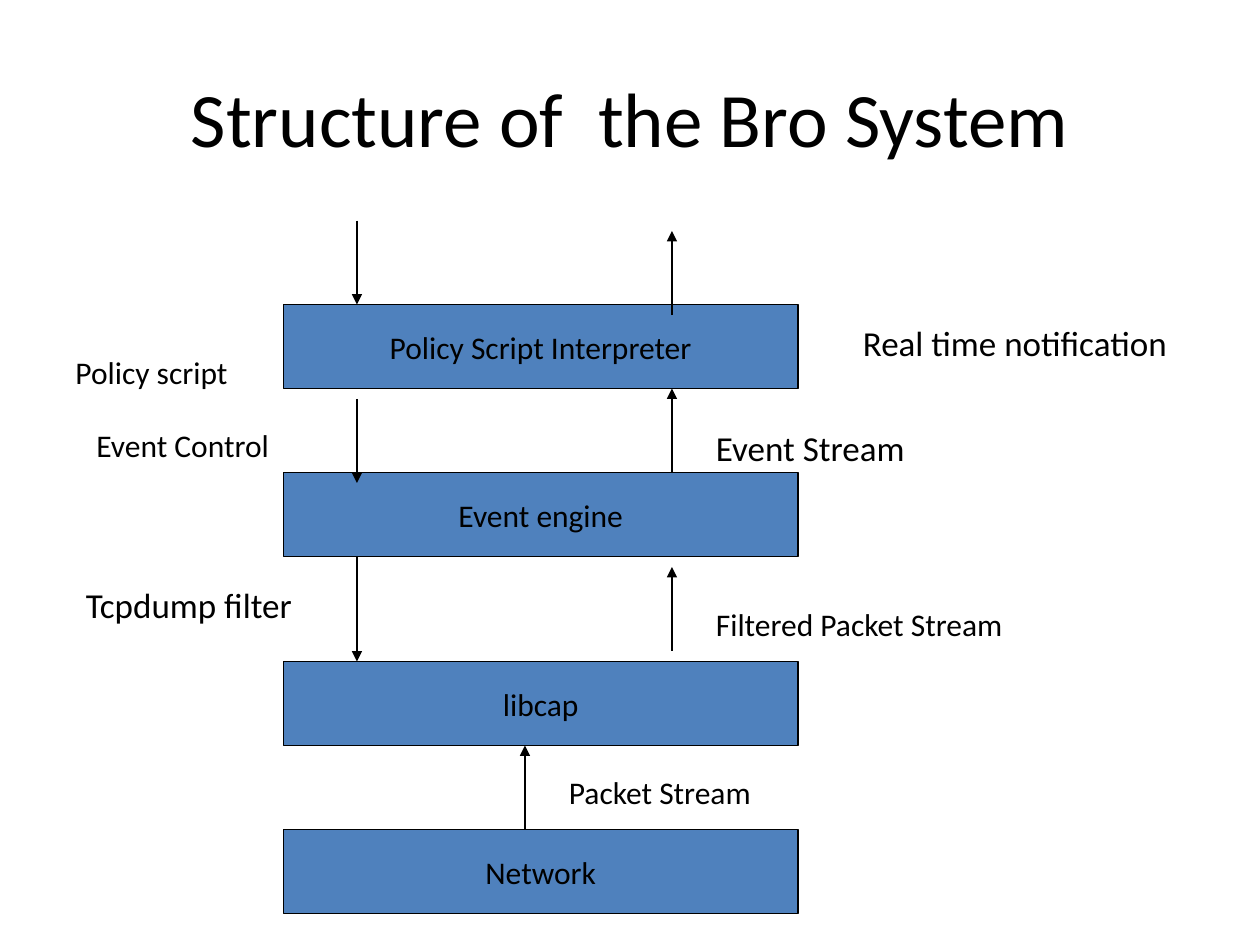
from lxml import etree
from pptx import Presentation
from pptx.dml.color import RGBColor
from pptx.enum.shapes import MSO_CONNECTOR, MSO_SHAPE
from pptx.enum.text import MSO_ANCHOR, MSO_AUTO_SIZE, PP_ALIGN
from pptx.oxml.ns import qn
from pptx.util import Inches, Pt

BLACK = RGBColor(0x00, 0x00, 0x00)
BLUE = RGBColor(0x4F, 0x81, 0xBD)
WHITE = RGBColor(0xFF, 0xFF, 0xFF)

# The slide is a grid of 120 columns by 90 rows, twelve to the inch
BOX_LEFT, BOX_WIDTH, BOX_HEIGHT = 27, 49, 8
DOWN_COL, UP_COL, NETWORK_COL = 34, 64, 50


def grid(*cells):
    return [Inches(cell / 12) for cell in cells]


class Diagram:
    """Holds the style and the slide that is being drawn."""
    font = {"name": "Calibri", "bold": False}
    line_width = Pt(0.75)

    def __init__(self, s):
        self.s = s
        s.background.fill.solid()
        s.background.fill.fore_color.rgb = WHITE

    def set_text(self, tf, text, size, align, anchor):
        tf.vertical_anchor = anchor
        p = tf.paragraphs[0]
        p.alignment = align
        r = p.add_run()
        r.text = text
        for key, value in {**self.font, "size": Pt(size)}.items():
            setattr(r.font, key, value)
        r.font.color.rgb = BLACK

    def outline(self, line):
        line.color.rgb = BLACK
        line.width = self.line_width

    def title(self, text):
        sp = self.s.shapes.title
        sp.left, sp.top, sp.width, sp.height = grid(6, 3.6, 108, 15)
        self.set_text(sp.text_frame, text, 44, PP_ALIGN.CENTER, MSO_ANCHOR.MIDDLE)

    def box(self, text, row):
        sp = self.s.shapes.add_shape(
            MSO_SHAPE.RECTANGLE, *grid(BOX_LEFT, row, BOX_WIDTH, BOX_HEIGHT))
        sp.shadow.inherit = False
        sp.fill.solid()
        sp.fill.fore_color.rgb = BLUE
        self.outline(sp.line)
        sp.text_frame.word_wrap = False
        self.set_text(sp.text_frame, text, 18, PP_ALIGN.CENTER, MSO_ANCHOR.MIDDLE)

    def arrow(self, col, start, end):
        c = self.s.shapes.add_connector(
            MSO_CONNECTOR.STRAIGHT, *grid(col, start, col, end))
        self.outline(c.line)
        sp_pr = c._element.spPr
        tail = etree.SubElement(sp_pr.find(qn("a:ln")), qn("a:tailEnd"))
        tail.set("type", "triangle")
        etree.SubElement(sp_pr, qn("a:effectLst"))

    def label(self, text, col, row, width, size):
        height = 4.8 if size == 18 else 5.2
        sp = self.s.shapes.add_textbox(*grid(col, row, width, height))
        tf = sp.text_frame
        tf.word_wrap = True
        tf.auto_size = MSO_AUTO_SIZE.SHAPE_TO_FIT_TEXT
        self.set_text(tf, text, size, PP_ALIGN.LEFT, MSO_ANCHOR.TOP)


def main():
    prs = Presentation()
    prs.slide_width, prs.slide_height = grid(120, 90)
    d = Diagram(prs.slides.add_slide(prs.slide_layouts[5]))
    d.title("Structure of  the Bro System")

    # Layers of the system, from the bottom up
    for text, row in [("Network", 79), ("libcap", 63), ("Event engine", 45),
                      ("Policy Script Interpreter", 29)]:
        d.box(text, row)

    # Data flows up, control flows down: column, start row, end row
    for flow in [(NETWORK_COL, 79, 71), (UP_COL, 62, 54), (UP_COL, 45, 37),
                 (UP_COL, 30, 22), (DOWN_COL, 53, 63), (DOWN_COL, 21, 29),
                 (DOWN_COL, 38, 46)]:
        d.arrow(*flow)

    # Names of the flows: text, column, row, width, size
    for name in [("Packet Stream", 53, 73, 21, 18),
                 ("Filtered Packet Stream", 67, 57, 31, 18),
                 ("Event Stream", 67, 40, 24, 20),
                 ("Real time notification", 81, 30, 36, 20),
                 ("Policy script", 6, 33, 21, 18),
                 ("Event Control", 8, 40, 23, 18),
                 ("Tcpdump filter", 7, 55, 25, 20)]:
        d.label(*name)

    prs.save("out.pptx")


if __name__ == "__main__":
    main()
